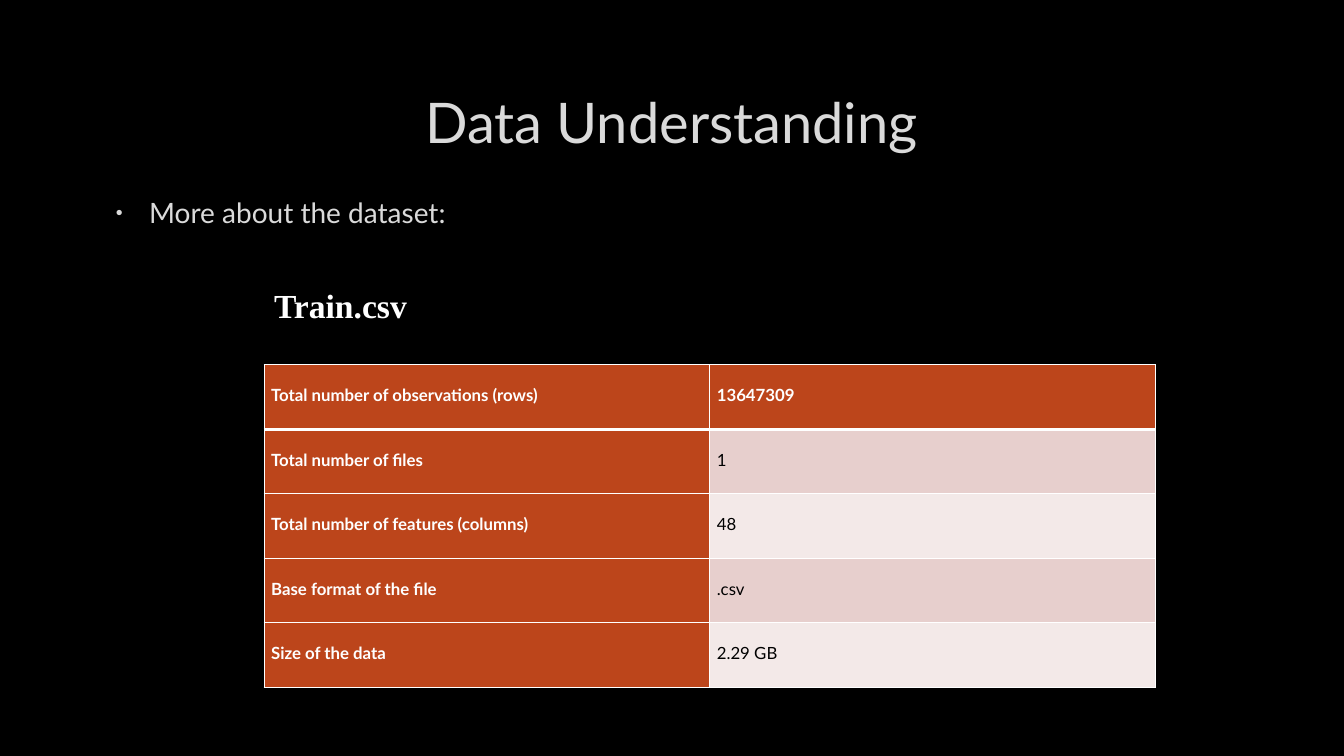
from lxml.etree import SubElement
from pptx import Presentation
from pptx.dml.color import RGBColor
from pptx.enum.text import MSO_ANCHOR, PP_ALIGN
from pptx.oxml.ns import qn
from pptx.util import Inches, Pt


def color(value):
    return RGBColor.from_string(value)


class SlideBuilder:
    font = "Lato"
    background = "000000"
    light = "DADADA"
    white = "FFFFFF"
    accent = "BC451B"
    bands = ("E7CFCD", "F3E9E8")

    def __init__(self, presentation):
        self.slide = presentation.slides.add_slide(presentation.slide_layouts[6])
        fill = self.slide.background.fill
        fill.solid()
        fill.fore_color.rgb = color(self.background)

    def format_run(self, paragraph, size, text_color, bold=False, font=None):
        style = paragraph.runs[0].font
        style.name = font or self.font
        style.size = Pt(size)
        style.bold = bold
        style.color.rgb = color(text_color)

    def text(self, content, left, top, width, height, size, text_color=light,
             align=PP_ALIGN.LEFT, anchor=MSO_ANCHOR.MIDDLE, bold=False, font=None):
        shape = self.slide.shapes.add_textbox(
            Inches(left), Inches(top), Inches(width), Inches(height))
        frame = shape.text_frame
        frame.word_wrap = True
        frame.vertical_anchor = anchor
        frame.text = content
        paragraph = frame.paragraphs[0]
        paragraph.alignment = align
        self.format_run(paragraph, size, text_color, bold, font)
        return paragraph

    def bullet(self, content, left, top, width, height, size):
        paragraph = self.text(content, left, top, width, height, size,
                              anchor=MSO_ANCHOR.TOP)
        paragraph.space_before = Pt(size * 0.2)
        paragraph.space_after = Pt(6)
        properties = paragraph._p.get_or_add_pPr()
        properties.set("marL", str(Inches(0.38)))
        properties.set("indent", str(Inches(-0.33)))
        bullet_color = SubElement(properties, qn("a:buClr"))
        SubElement(bullet_color, qn("a:srgbClr"), val=self.light)
        SubElement(properties, qn("a:buSzPct"), val="70000")
        SubElement(properties, qn("a:buFont"), typeface="Arial")
        SubElement(properties, qn("a:buChar"), char="•")

    def cell_borders(self, cell, top, bottom):
        properties = cell._tc.get_or_add_tcPr()
        widths = {"a:lnL": 1, "a:lnR": 1, "a:lnT": top, "a:lnB": bottom}
        for position, (side, width) in enumerate(widths.items()):
            line = SubElement(properties, qn(side), w=str(Pt(width)))
            line_fill = SubElement(line, qn("a:solidFill"))
            SubElement(line_fill, qn("a:srgbClr"), val=self.white)
            properties.insert(position, line)

    def table(self, rows, left, top, column_width, row_height, size):
        columns = len(rows[0])
        table = self.slide.shapes.add_table(
            len(rows), columns, Inches(left), Inches(top),
            Inches(column_width * columns), Inches(row_height * len(rows))).table
        table.first_col = True
        for column in table.columns:
            column.width = Inches(column_width)
        for row_index, values in enumerate(rows):
            table.rows[row_index].height = Inches(row_height)
            for column_index, value in enumerate(values):
                cell = table.cell(row_index, column_index)
                heading = row_index == 0 or column_index == 0
                cell.fill.solid()
                cell.fill.fore_color.rgb = color(
                    self.accent if heading else self.bands[(row_index - 1) % 2])
                cell.margin_left = cell.margin_right = Inches(0.07)
                cell.margin_top = cell.margin_bottom = 0
                cell.text_frame.text = value
                paragraph = cell.text_frame.paragraphs[0]
                paragraph.line_spacing = 2.0
                self.format_run(paragraph, size,
                                self.white if heading else self.background, heading)
                self.cell_borders(cell, 3 if row_index == 1 else 1,
                                  3 if row_index == 0 else 1)


def main():
    presentation = Presentation()
    presentation.slide_width = Inches(13.33)
    presentation.slide_height = Inches(7.5)
    builder = SlideBuilder(presentation)
    builder.text("Data Understanding", 1, 0.67, 11.32, 1.06, 40,
                 align=PP_ALIGN.CENTER)
    builder.bullet("More about the dataset:", 1, 1.89, 11.32, 0.6, 20)
    builder.table([
        ("Total number of observations (rows)", "13647309"),
        ("Total number of files", "1"),
        ("Total number of features (columns)", "48"),
        ("Base format of the file", ".csv"),
        ("Size of the data", "2.29 GB"),
    ], 2.62, 3.62, 4.42, 0.64, 12)
    builder.text("Train.csv", 2.62, 2.78, 8.84, 0.5, 24, builder.white,
                 bold=True, font="Times New Roman")
    presentation.save("out.pptx")


if __name__ == "__main__":
    main()
